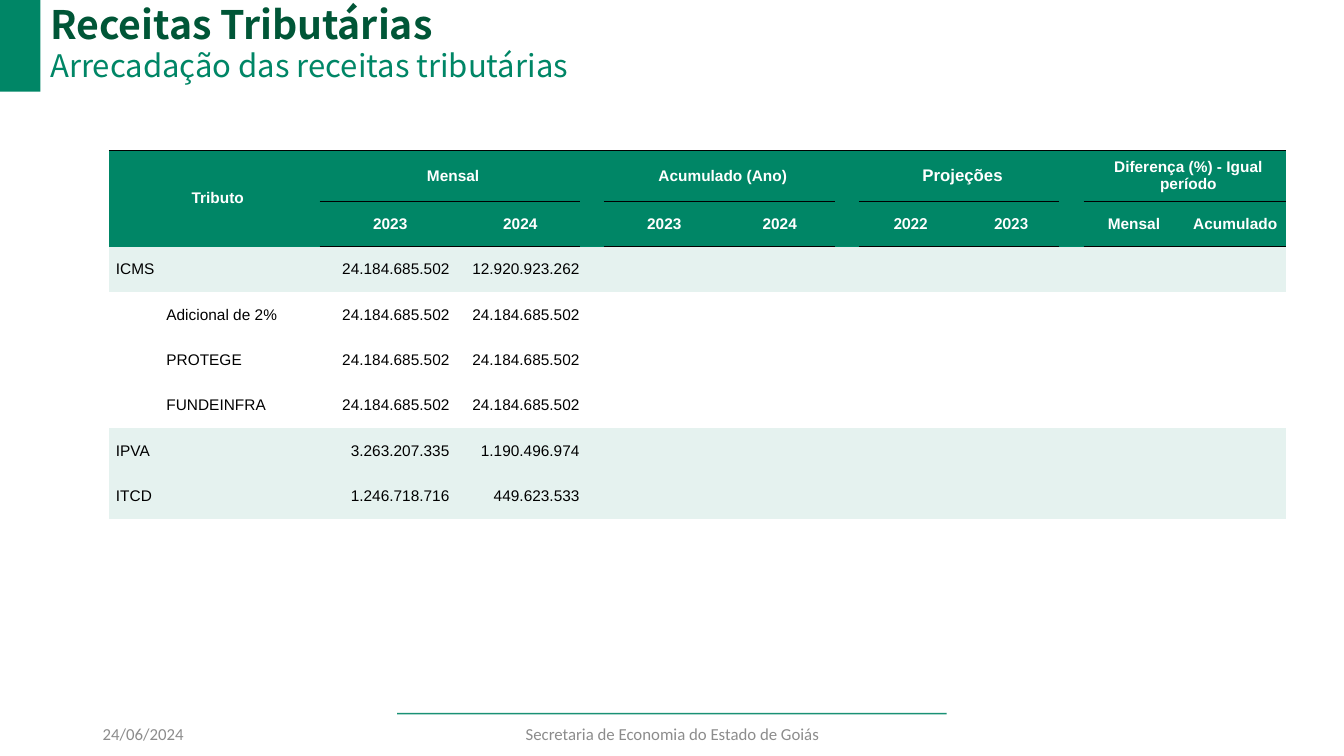
"""Build the slide on monthly tax revenue with its table of taxes."""
import dataclasses

import lxml.etree
import pptx
import pptx.dml.color
import pptx.enum.shapes
import pptx.enum.text
import pptx.oxml.ns
import pptx.util

Inches = pptx.util.Inches
Pt = pptx.util.Pt
Align = pptx.enum.text.PP_ALIGN
Anchor = pptx.enum.text.MSO_ANCHOR
qn = pptx.oxml.ns.qn


@dataclasses.dataclass(frozen=True)
class Theme:
    green: str = "008666"
    dark_green: str = "005637"
    pale_green: str = "E5F2EF"
    white: str = "FFFFFF"
    black: str = "000000"
    grey: str = "8C8C8C"
    title_font: str = "Noto Sans CJK SC"
    subtitle_font: str = "Noto Sans CJK TC"
    table_font: str = "Arial"
    footer_font: str = "Calibri"
    title_size: float = 28
    subtitle_size: float = 22.2
    table_size: float = 11
    large_size: float = 12
    no_style: str = "{2D5ABB26-0587-4C30-8999-92F81FD0307C}"


class RevenueSlide:
    def __init__(self, deck, theme):
        self.theme = theme
        self.slide = deck.slides.add_slide(deck.slide_layouts[5])

    def apply(self, target, formats):
        for name, value in formats.items():
            setattr(target, name, value)

    def set_text(self, frame, text, font, size, color, bold=False, paragraph_formats=None, frame_formats=None):
        self.apply(frame, {"word_wrap": True, "vertical_anchor": Anchor.MIDDLE, **(frame_formats or {})})
        paragraph = frame.paragraphs[0]
        self.apply(paragraph, paragraph_formats or {})
        run = paragraph.add_run()
        run.text = text
        self.apply(run.font, {"name": font, "size": Pt(size), "bold": bold})
        run.font.color.rgb = pptx.dml.color.RGBColor.from_string(color)
        return paragraph

    def place(self, shape, box):
        self.apply(shape, dict(zip(("left", "top", "width", "height"), map(Inches, box))))

    def title(self, text, box):
        heading = self.slide.shapes.title
        self.place(heading, box)
        self.set_text(heading.text_frame, text, self.theme.title_font, self.theme.title_size,
                      self.theme.dark_green, True, {"alignment": Align.LEFT},
                      {"auto_size": pptx.enum.text.MSO_AUTO_SIZE.NONE})

    def text(self, text, box, *style, **formats):
        label = self.slide.shapes.add_textbox(*map(Inches, box))
        self.set_text(label.text_frame, text, *style, **formats)

    def block(self, box, color):
        block = self.slide.shapes.add_shape(pptx.enum.shapes.MSO_SHAPE.RECTANGLE, *map(Inches, box))
        block.shadow.inherit = False
        block.fill.solid()
        block.fill.fore_color.rgb = pptx.dml.color.RGBColor.from_string(color)
        block.line.fill.background()

    def rule(self, left, right, top, color, opacity):
        rule = self.slide.shapes.add_connector(
            pptx.enum.shapes.MSO_CONNECTOR.STRAIGHT, *map(Inches, (left, top, right, top)))
        rule.line.width = Pt(1)
        rule.line.color.rgb = pptx.dml.color.RGBColor.from_string(color)
        properties = rule._element.spPr
        tint = next(properties.iter(qn("a:srgbClr")))
        lxml.etree.SubElement(tint, qn("a:alpha"), val=str(opacity * 1000))
        lxml.etree.SubElement(properties, qn("a:effectLst"))

    def table(self, box, widths, heights):
        frame = self.slide.shapes.add_table(len(heights), len(widths), *map(Inches, box))
        table = frame.table
        self.apply(table, {"first_row": False, "horz_banding": False})
        table._tbl.tblPr.find(qn("a:tableStyleId")).text = self.theme.no_style
        for column, width in zip(table.columns, widths):
            column.width = Inches(width)
        for row, height in zip(table.rows, heights):
            row.height = Inches(height)
        return table

    def border(self, cell, side):
        line = lxml.etree.SubElement(cell._tc.get_or_add_tcPr(), qn(f"a:ln{side}"), w=str(Pt(1.1)))
        fill = lxml.etree.SubElement(line, qn("a:solidFill"))
        lxml.etree.SubElement(fill, qn("a:srgbClr"), val=self.theme.black)

    def fill_cell(self, cell, color):
        cell.fill.solid()
        cell.fill.fore_color.rgb = pptx.dml.color.RGBColor.from_string(color)

    def cell_text(self, cell, text, align, color, bold=False, size=None, font=None, level=0, spaced=True):
        self.apply(cell, {"margin_left": 0, "margin_right": 0, "margin_top": Inches(0.07),
                          "margin_bottom": Inches(0.07), "vertical_anchor": Anchor.MIDDLE})
        gap = Pt(5 if spaced else 0)
        paragraph = self.set_text(
            cell.text_frame, text, font or self.theme.table_font, size or self.theme.table_size, color, bold,
            {"alignment": align, "level": level, "space_before": gap, "space_after": gap},
            {"vertical_anchor": None, "word_wrap": None})
        indent = Inches(0.07 + 0.5 * level) if spaced else 0
        self.apply_indent(paragraph, indent)

    def apply_indent(self, paragraph, indent):
        properties = paragraph._p.get_or_add_pPr()
        for name, value in {"marL": indent, "indent": 0}.items():
            properties.set(name, str(value))


GROUPS = {
    1: ("Mensal", (" 2023", " 2024")),
    4: ("Acumulado (Ano)", ("2023", "2024")),
    7: ("Projeções", ("2022", "2023")),
    10: ("Diferença (%) - Igual período", ("Mensal", "Acumulado")),
}
PROJECTIONS = 7
TAXES = [
    ("ICMS", 0, "24.184.685.502", "12.920.923.262"),
    ("Adicional de 2%", 1, "24.184.685.502", "24.184.685.502"),
    ("PROTEGE", 1, "24.184.685.502", "24.184.685.502"),
    ("FUNDEINFRA", 1, "24.184.685.502", "24.184.685.502"),
    ("IPVA", 0, "3.263.207.335", "1.190.496.974"),
    ("ITCD", 0, "1.246.718.716", "449.623.533"),
]
COLUMN_WIDTHS = [2.09, 1.29, 1.29, 0.13, 1.13, 1.16, 0.12, 1.03, 0.96, 0.09, 0.93, 1.08]
ROW_HEIGHTS = [0.48] + [0.45] * (len(TAXES) + 1)


def add_revenue_table(page):
    theme = page.theme
    table = page.table((1.08, 1.49, sum(COLUMN_WIDTHS), sum(ROW_HEIGHTS)), COLUMN_WIDTHS, ROW_HEIGHTS)
    grouped = [column + offset for column in GROUPS for offset in (0, 1)]
    for column in range(len(COLUMN_WIDTHS)):
        page.border(table.cell(0, column), "T")
        if column in grouped:
            page.border(table.cell(0, column), "B")
            page.border(table.cell(1, column), "T")
        for row in (0, 1):
            page.fill_cell(table.cell(row, column), theme.green)
        for row, (_, level, *_) in enumerate(TAXES, 2):
            page.fill_cell(table.cell(row, column), theme.white if level else theme.pale_green)

    table.cell(0, 0).merge(table.cell(1, 0))
    page.cell_text(table.cell(0, 0), "Tributo", Align.CENTER, theme.white, True)
    for column, (group, periods) in GROUPS.items():
        projected = column == PROJECTIONS
        size = theme.large_size if projected else theme.table_size
        font = theme.footer_font if projected else theme.table_font
        table.cell(0, column).merge(table.cell(0, column + 1))
        page.cell_text(table.cell(0, column), group, Align.CENTER, theme.white, True, size)
        for offset, period in enumerate(periods):
            page.cell_text(table.cell(1, column + offset), period, Align.CENTER, theme.white, True,
                           size, font, spaced=not projected)

    for row, (tax, level, *amounts) in enumerate(TAXES, 2):
        page.cell_text(table.cell(row, 0), tax, Align.LEFT, theme.black, level=level)
        for column, amount in enumerate(amounts, 1):
            page.cell_text(table.cell(row, column), amount, Align.RIGHT, theme.black)


def main():
    deck = pptx.Presentation()
    deck.slide_width, deck.slide_height = Inches(13.33), Inches(7.5)
    theme = Theme()
    page = RevenueSlide(deck, theme)
    page.rule(3.94, 9.39, 7.08, theme.green, 90)
    page.block((0, 0, 0.4, 0.91), theme.green)
    page.title("Receitas Tributárias", (0.4, 0, 11.5, 0.48))
    page.text("Arrecadação das receitas tributárias", (0.4, 0.48, 9.33, 0.43),
              theme.subtitle_font, theme.subtitle_size, theme.green,
              paragraph_formats={"line_spacing": 0.8}, frame_formats={"vertical_anchor": Anchor.TOP})
    footer_style = (theme.footer_font, theme.large_size, theme.grey)
    page.text("24/06/2024", (0.92, 7.08, 3, 0.4), *footer_style)
    page.text("Secretaria de Economia do Estado de Goiás", (4.42, 7.08, 4.5, 0.4), *footer_style,
              paragraph_formats={"alignment": Align.CENTER})
    add_revenue_table(page)
    deck.save("out.pptx")


if __name__ == "__main__":
    main()
